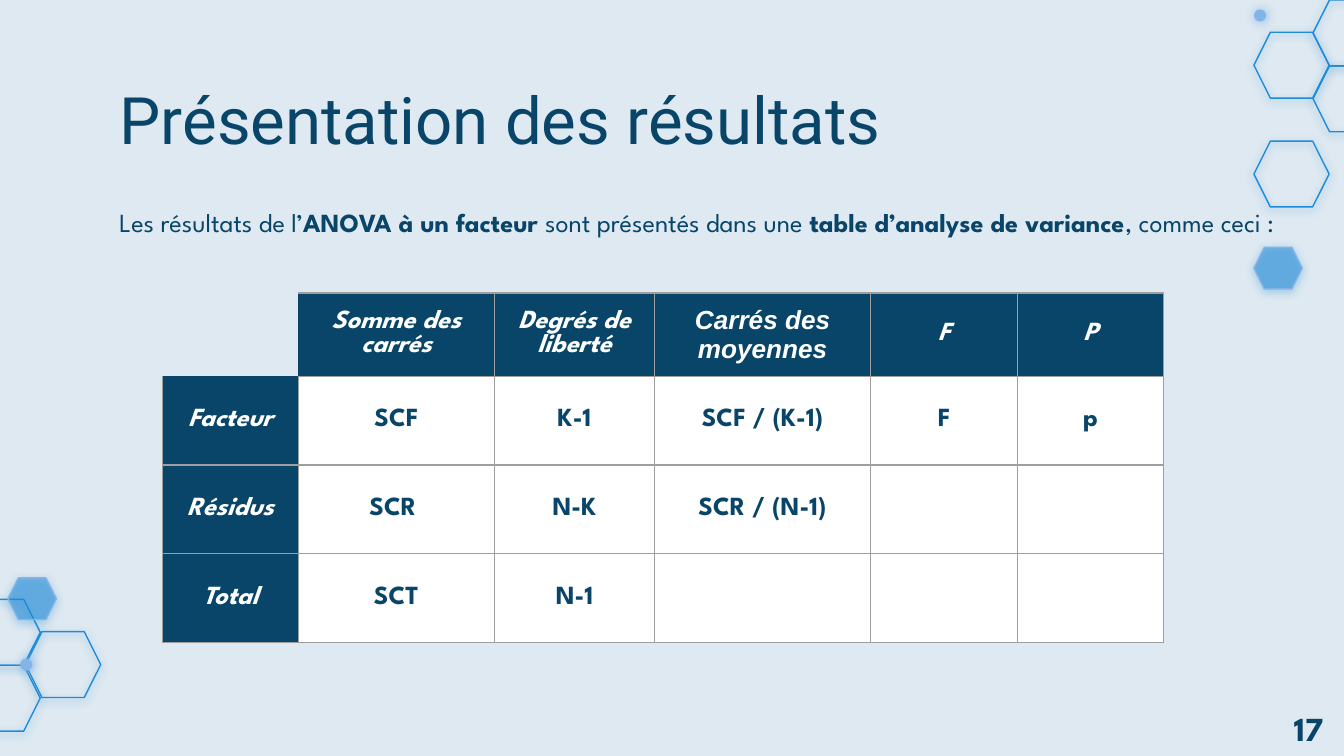
from lxml.etree import SubElement
from pptx import Presentation
from pptx.dml.color import RGBColor
from pptx.enum.shapes import MSO_SHAPE
from pptx.enum.text import MSO_ANCHOR, MSO_AUTO_SIZE, PP_ALIGN
from pptx.oxml.ns import qn
from pptx.util import Inches, Pt

# Content
TITLE = "Présentation des résultats"
INTRO = [
    ("Les résultats de l’", False),
    ("ANOVA à un facteur ", True),
    ("sont présentés dans une ", False),
    ("table d’analyse de variance", True),
    (", comme ceci :", False),
]
ROWS = [
    ["", "Somme des carrés", "Degrés de liberté", "Carrés des moyennes", "F", "P"],
    ["Facteur", "SCF", "K-1", "SCF / (K-1)", "F", "p"],
    ["Résidus", "SCR ", "N-K", "SCR / (N-1)", "", ""],
    ["Total", "SCT", "N-1", "", "", ""],
]
WIDTHS = [1.01, 1.46, 1.19, 1.61, 1.09, 1.09]
HEIGHTS = [0.62, 0.66, 0.66, 0.66]
NUMBER = "17"

# Format
NAVY, BLUE, PALE, WHITE, GREY = "084569", "1F8AD7", "84B3E8", "FFFFFF", "9E9E9E"
FONT = "League Spartan"
BODY = {"name": FONT, "size": Pt(14), "bold": False, "italic": False}
HEAD = BODY | {"bold": True, "italic": True}
CELL = BODY | {"bold": True}

# Decor: corner of each hexagon, then of each dot
OPEN_HEX = [(9.77, 0), (9.77, 0.49), (9.33, 0.24), (9.33, 1.05),
            (-0.26, 4.46), (-0.26, 4.95), (0.19, 4.7)]
FULL_HEX = [(9.33, 1.84), (0.06, 4.3)]
DOTS = [(0.15, 4.9), (9.33, 0.07)]
GLOW = (BLUE, 50, 4.5, 1.5, 90)
DOT_GLOW = (PALE, 100, 5.6, 0.8, 11)


def color(code):
    return RGBColor.from_string(code)


def style(run, form, code):
    for key, value in form.items():
        setattr(run.font, key, value)
    run.font.color.rgb = color(code)


def write(para, text, form, code):
    run = para.add_run()
    run.text = text
    style(run, form, code)


def place(shape, *box):
    for key, value in zip(("left", "top", "width", "height"), box):
        setattr(shape, key, Inches(value))


def set_frame(frame, pad):
    form = {"word_wrap": True, "auto_size": MSO_AUTO_SIZE.NONE,
            "vertical_anchor": MSO_ANCHOR.TOP}
    form |= {f"margin_{side}": Inches(pad) for side in ("left", "right", "top", "bottom")}
    for key, value in form.items():
        setattr(frame, key, value)


def add_alpha(node, share):
    SubElement(node, qn("a:alpha"), val=str(share * 1000))


def add_glow(shape, code, share, blur, dist, angle):
    shape.shadow.inherit = False
    effects = shape._element.spPr.find(qn("a:effectLst"))
    glow = SubElement(effects, qn("a:outerShdw"), blurRad=str(Pt(blur)),
                      dist=str(Pt(dist)), dir=str(angle * 60000),
                      algn="bl", rotWithShape="0")
    add_alpha(SubElement(glow, qn("a:srgbClr"), val=code), share)


def add_mark(slide, kind, spot, size, fill, line, glow, share=100):
    shape = slide.shapes.add_shape(kind, *map(Inches, spot + size))
    if fill:
        shape.fill.solid()
        shape.fill.fore_color.rgb = color(fill)
        add_alpha(shape._element.spPr.find(qn("a:solidFill"))[0], share)
    else:
        shape.fill.background()
    if line:
        shape.line.color.rgb = color(line)
        shape.line.width = Pt(0.75)
    else:
        shape.line.fill.background()
    add_glow(shape, *glow)


def add_edges(cell, shown):
    props = cell._tc.get_or_add_tcPr()
    for side in "LRTB":
        edge = SubElement(props, qn(f"a:ln{side}"), w=str(Pt(0.75)))
        if side in shown:
            fill = SubElement(edge, qn("a:solidFill"))
            SubElement(fill, qn("a:srgbClr"), val=GREY)
        else:
            SubElement(edge, qn("a:noFill"))


def fill_cell(cell, text, row, col):
    head = row == 0 or col == 0
    corner = row == col == 0
    cell.vertical_anchor = MSO_ANCHOR.MIDDLE
    # The empty corner and the sides that touch it have no edge
    add_edges(cell, "" if corner else "RTB" if (row, col) == (0, 1)
              else "LRB" if (row, col) == (1, 0) else "LRTB")
    if corner:
        cell.fill.background()
    else:
        cell.fill.solid()
        cell.fill.fore_color.rgb = color(NAVY if head else WHITE)
    if text:
        para = cell.text_frame.paragraphs[0]
        para.alignment = PP_ALIGN.CENTER
        form = HEAD if head else CELL
        if (row, col) == (0, 3):
            form = form | {"name": "Arial"}
        write(para, text, form, WHITE if head else NAVY)


def main():
    deck = Presentation()
    # Wide 16:9 format
    deck.slide_width = Inches(10)
    deck.slide_height = deck.slide_width * 9 // 16
    slide = deck.slides.add_slide(deck.slide_layouts[5])
    slide.background.fill.solid()
    slide.background.fill.fore_color.rgb = color("DEE9F1")

    # Decor
    for spot in OPEN_HEX:
        add_mark(slide, MSO_SHAPE.HEXAGON, spot, (0.56, 0.49), None, BLUE, GLOW)
    for spot in FULL_HEX:
        add_mark(slide, MSO_SHAPE.HEXAGON, spot, (0.36, 0.31), BLUE, PALE, GLOW, 53)
    for spot in DOTS:
        add_mark(slide, MSO_SHAPE.OVAL, spot, (0.09, 0.09), PALE, None, DOT_GLOW)

    # Title
    title = slide.shapes.title
    place(title, 0.79, 0.49, 8.43, 0.63)
    set_frame(title.text_frame, 0.1)
    para = title.text_frame.paragraphs[0]
    para.alignment = PP_ALIGN.LEFT
    write(para, TITLE, {"name": "Roboto", "size": Pt(35)}, NAVY)

    # Intro
    intro = slide.shapes.add_textbox(*map(Inches, (0.79, 1.4, 9.07, 0.74)))
    set_frame(intro.text_frame, 0.1)
    para = intro.text_frame.paragraphs[0]
    para.line_spacing = 1.15
    for text, bold in INTRO:
        write(para, text, BODY | {"bold": bold}, NAVY)

    # Table
    box = map(Inches, (1.21, 2.18, sum(WIDTHS), sum(HEIGHTS)))
    table = slide.shapes.add_table(len(ROWS), len(WIDTHS), *box).table
    table.first_row = table.horz_banding = False
    for col, width in zip(table.columns, WIDTHS):
        col.width = Inches(width)
    for row, height in zip(table.rows, HEIGHTS):
        row.height = Inches(height)
    for i, texts in enumerate(ROWS):
        for j, text in enumerate(texts):
            fill_cell(table.cell(i, j), text, i, j)

    # Page number
    page = slide.shapes.add_textbox(*map(Inches, (9.53, 5.22, 0.63, 0.4)))
    page.text_frame.word_wrap = True
    write(page.text_frame.paragraphs[0], NUMBER, CELL | {"size": Pt(18)}, NAVY)

    deck.save("out.pptx")


if __name__ == "__main__":
    main()
